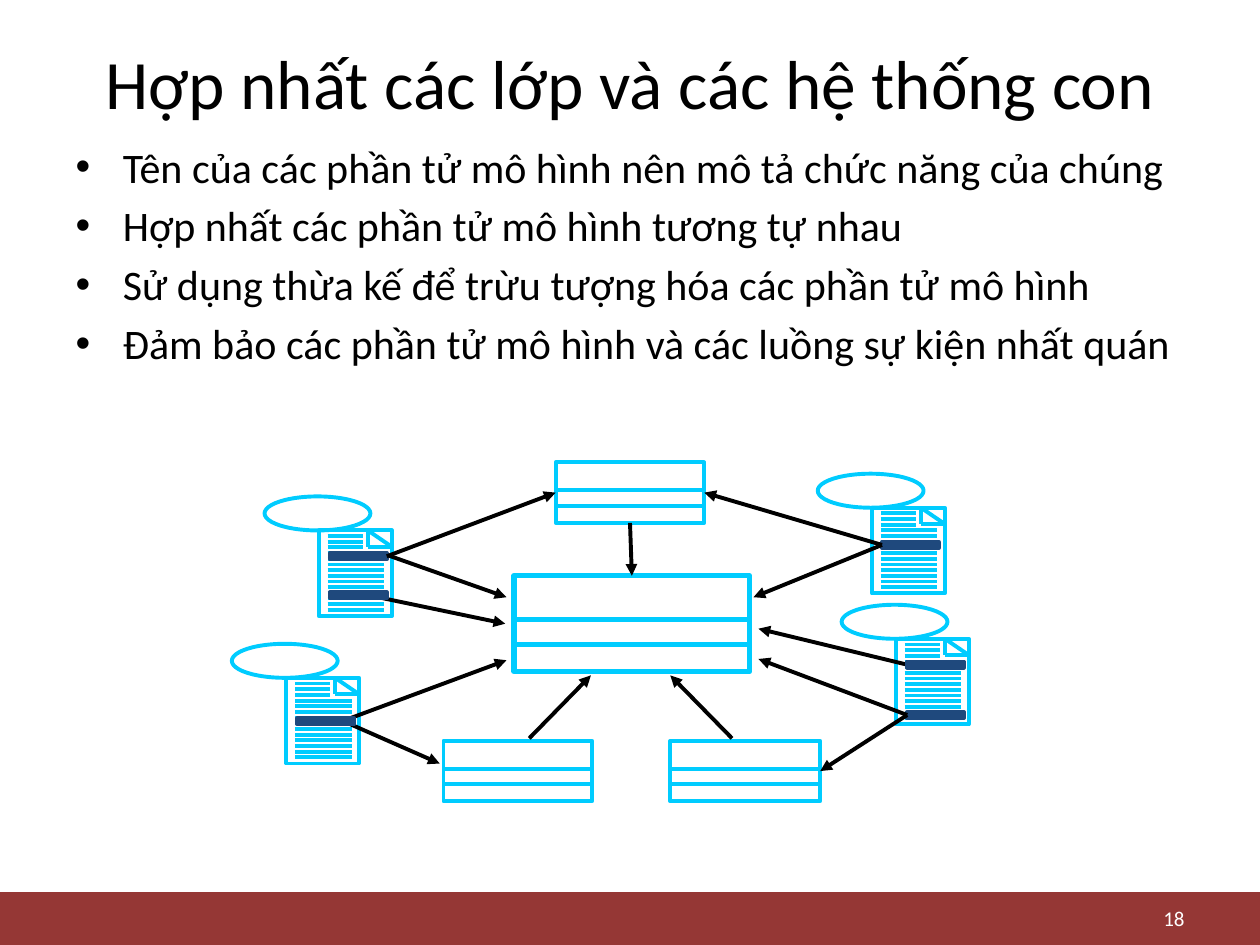
from lxml.etree import SubElement
from pptx import Presentation
from pptx.dml.color import RGBColor
from pptx.enum.shapes import MSO_CONNECTOR as Link, MSO_SHAPE as Form
from pptx.enum.text import MSO_ANCHOR as Anchor, MSO_AUTO_SIZE as Fit, PP_ALIGN as Align
from pptx.oxml.ns import qn
from pptx.util import Inches, Pt

# Content
TITLE = "Hợp nhất các lớp và các hệ thống con"
POINTS = [
    "Tên của các phần tử mô hình nên mô tả chức năng của chúng",
    "Hợp nhất các phần tử mô hình tương tự nhau",
    "Sử dụng thừa kế để trừu tượng hóa các phần tử mô hình",
    "Đảm bảo các phần tử mô hình và các luồng sự kiện nhất quán",
]
NUMBER = "18"
CYAN, NAVY, BLACK, WHITE, MAROON = "00CCFF", "1F497D", "000000", "FFFFFF", "953735"

# Class boxes: left, top, width, height, line width
CLASSES = {
    "main": (4.08, 4.57, 1.87, 0.76, 3),
    "top": (4.41, 3.67, 1.18, 0.48, 2.25),
    "left": (3.52, 5.88, 1.18, 0.48, 2.25),
    "right": (5.32, 5.88, 1.19, 0.48, 2.25),
}
# Use cases with their flow documents: left, top of the oval
CASES = [(1.84, 5.11), (2.1, 3.94), (6.68, 4.8), (6.49, 3.76)]
# Marked lines in the documents: left, top
BARS = {
    "nw": (2.62, 4.39), "nw2": (2.62, 4.7), "sw": (2.36, 5.7),
    "se2": (7.2, 5.65), "se": (7.2, 5.25), "ne": (7, 4.3),
}
# Arrows behind the bars: from, to
LOOSE = [
    ((2.78, 5.7), (4.02, 5.24)), ((2.81, 4.7), (4.01, 4.95)),
    ((7.26, 5.29), (6.02, 4.99)), ((3.03, 4.39), (4.02, 4.74)),
    ((2.74, 5.73), (3.49, 6.06)), ((5.81, 5.86), (5.32, 5.36)),
    ((4.2, 5.86), (4.69, 5.36)),
]
# Arrows joined to a side: each end is a point or (name, side)
JOINED = [
    (("top", 2), ("main", 0)), (("nw", 3), ("top", 1)),
    (("ne", 1), ("top", 3)), (("ne", 1), (5.98, 4.74)),
    (("se2", 1), (6.02, 5.23)), (("se2", 1), ("right", 3)),
]


def color(code):
    return RGBColor.from_string(code)


def write(par, text, size, ink=BLACK, align=None, before=0):
    par.text = text
    par.alignment = align
    par.space_before = Pt(before)
    par.font.name, par.font.size = "Calibri", Pt(size)
    par.font.color.rgb = color(ink)


def place(shape, *box):
    shape.left, shape.top, shape.width, shape.height = map(Inches, box)


def draw(parent, form, box, fill=None, line=None, width=2.25):
    shape = parent.add_shape(form, *map(Inches, box))
    shape.shadow.inherit = False
    if fill:
        shape.fill.solid()
        shape.fill.fore_color.rgb = color(fill)
    else:
        shape.fill.background()
    if line:
        shape.line.color.rgb = color(line)
        shape.line.width = Pt(width)
    else:
        shape.line.fill.background()
    return shape


def stroke(parent, start, end, ink=CYAN, width=2.25, arrow=False):
    line = parent.add_connector(Link.STRAIGHT, *map(Inches, (*start, *end)))
    line.line.color.rgb = color(ink)
    line.line.width = Pt(width)
    props = line._element.spPr
    if arrow:
        SubElement(props.find(qn("a:ln")), qn("a:tailEnd"), type="triangle")
    SubElement(props, qn("a:effectLst"))
    return line


def add_class(parent, x, y, w, h, width):
    group = parent.add_group_shape().shapes
    box = draw(group, Form.RECTANGLE, (x, y, w, h), line=CYAN, width=width)
    for part in (0.46, 0.72):
        stroke(group, (x, y + part * h), (x + w, y + part * h), width=width)
    return box


def add_case(parent, x, y):
    group = parent.add_group_shape().shapes
    draw(group, Form.OVAL, (x, y, 0.84, 0.27), line=CYAN)
    x, y = x + 0.43, y + 0.27
    draw(group, Form.RECTANGLE, (x, y, 0.58, 0.68), line=CYAN)
    # Folded corner
    top, low, side = (x + 0.39, y), (x + 0.39, y + 0.13), (x + 0.58, y + 0.13)
    for start, end in ((top, side), (top, low), (side, low)):
        stroke(group, start, end)
    # Text lines, the first three short of the fold
    for row in range(1, 15):
        level = y + 0.045 * row
        span = 0.28 if row <= 3 else 0.45
        stroke(group, (x + 0.07, level), (x + 0.07 + span, level))


def main():
    deck = Presentation()
    deck.slide_width, deck.slide_height = Inches(10), Inches(7.5)
    slide = deck.slides.add_slide(deck.slide_layouts[1])
    shapes = slide.shapes

    # Title and list
    title, body = slide.placeholders
    place(title, 0.5, 0.3, 9, 0.7)
    place(body, 0.5, 1.07, 9.17, 2.39)
    for holder, anchor in ((title, Anchor.MIDDLE), (body, Anchor.TOP)):
        holder.text_frame.auto_size = Fit.NONE
        holder.text_frame.vertical_anchor = anchor
    write(title.text_frame.paragraphs[0], TITLE, 39.6, align=Align.CENTER)
    frame = body.text_frame
    for i, point in enumerate(POINTS):
        par = frame.add_paragraph() if i else frame.paragraphs[0]
        write(par, point, 24, before=4.8 if i else 0)

    # Footer band and slide number
    draw(shapes, Form.RECTANGLE, (0, 7.08, 10, 0.42), fill=MAROON)
    number = shapes.add_textbox(*map(Inches, (7.17, 7.15, 2.33, 0.27))).text_frame
    number.word_wrap = True
    number.vertical_anchor = Anchor.MIDDLE
    write(number.paragraphs[0], NUMBER, 12, ink=WHITE, align=Align.RIGHT)

    # Diagram
    nodes = {name: add_class(shapes, *box) for name, box in CLASSES.items()}
    for spot in CASES:
        add_case(shapes, *spot)
    for start, end in LOOSE:
        stroke(shapes, start, end, BLACK, arrow=True)
    for name, spot in BARS.items():
        nodes[name] = draw(shapes, Form.RECTANGLE, (*spot, 0.45, 0.05), NAVY, NAVY)
    for (name, side), end in JOINED:
        free = end[0] not in nodes
        line = stroke(shapes, (0, 0), end if free else (1, 1), BLACK, arrow=True)
        line.begin_connect(nodes[name], side)
        if not free:
            line.end_connect(nodes[end[0]], end[1])

    deck.save("out.pptx")


if __name__ == "__main__":
    main()
